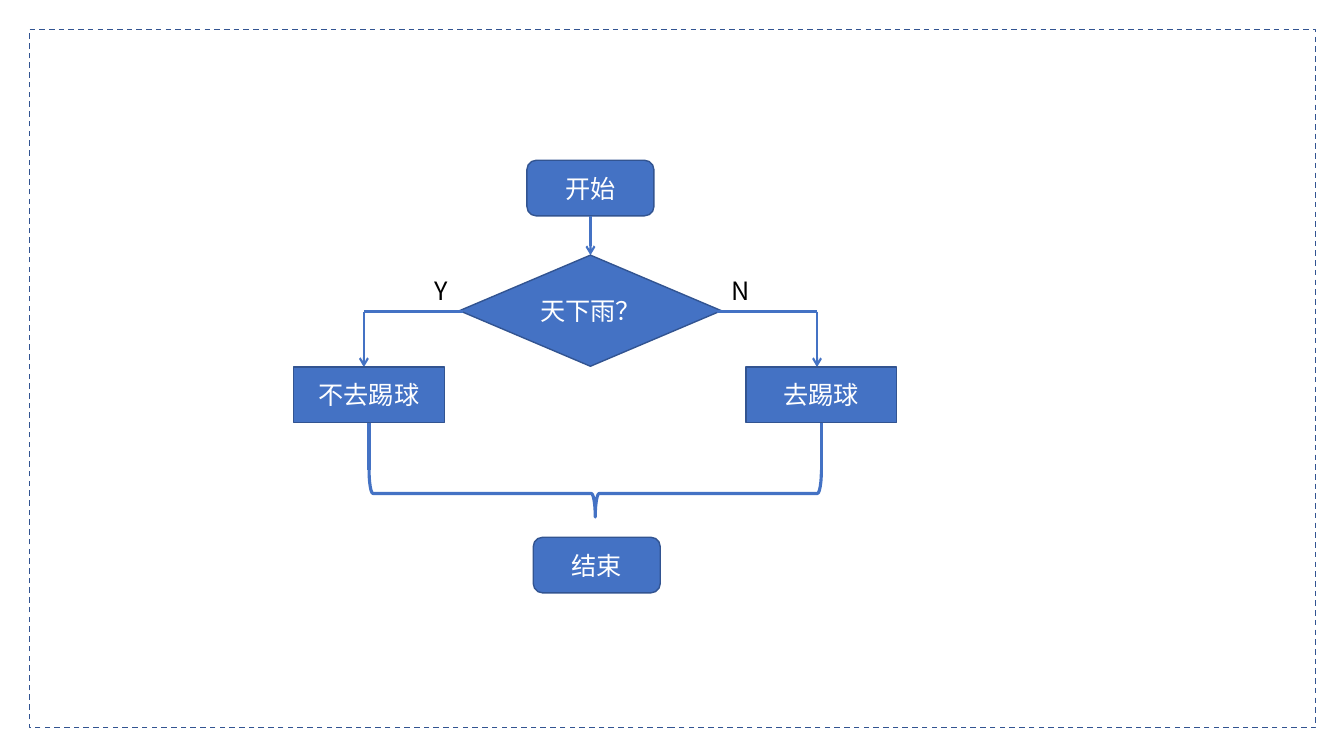
from lxml.etree import SubElement
from pptx import Presentation
from pptx.dml.color import RGBColor
from pptx.enum.dml import MSO_LINE as Dash
from pptx.enum.shapes import MSO_CONNECTOR as Link, MSO_SHAPE as Form
from pptx.enum.text import MSO_ANCHOR as Anchor, MSO_AUTO_SIZE as AutoSize, PP_ALIGN as Align
from pptx.oxml.ns import qn
from pptx.util import Cm, Pt

FONT = "Noto Sans CJK SC"
BLUE, NAVY, WHITE, BLACK = "4472C4", "325491", "FFFFFF", "000000"

CENTER = 14.88                        # axis of start and decision
BRANCH_Y, STEP_Y, STEP_H = 7.85, 9.25, 1.4
BRACE_Y, BRACE_H = 11.84, 1.19


def paint(color_format, color):
    color_format.rgb = RGBColor.from_string(color)


def write(frame, text, color, align):
    frame.text = text
    paragraph = frame.paragraphs[0]
    paragraph.alignment = align
    font = paragraph.font
    font.name, font.size = FONT, Pt(18)
    paint(font.color, color)
    # East Asian typeface
    defaults = paragraph._p.pPr.find(qn("a:defRPr"))
    SubElement(defaults, qn("a:ea"), typeface=FONT)


def add_outline(shapes, form, x, y, w, h, color, width):
    outline = shapes.add_shape(form, Cm(x), Cm(y), Cm(w), Cm(h))
    outline.shadow.inherit = False
    outline.fill.background()
    paint(outline.line.color, color)
    outline.line.width = Pt(width)
    return outline


def add_node(shapes, form, center, y, w, h, text):
    node = add_outline(shapes, form, center - w / 2, y, w, h, NAVY, 1)
    node.fill.solid()
    paint(node.fill.fore_color, BLUE)
    node.text_frame.vertical_anchor = Anchor.MIDDLE
    write(node.text_frame, text, WHITE, Align.CENTER)


def add_line(shapes, x1, y1, x2, y2, arrow=False):
    line = shapes.add_connector(Link.STRAIGHT, Cm(x1), Cm(y1), Cm(x2), Cm(y2))
    paint(line.line.color, BLUE)
    line.line.width = Pt(1.5 if arrow else 2.25)
    if arrow:
        SubElement(line.line._get_or_add_ln(), qn("a:tailEnd"), type="arrow")
    SubElement(line._element.spPr, qn("a:effectLst"))


def add_label(shapes, x, y, text):
    label = shapes.add_textbox(Cm(x), Cm(y), Cm(0.99), Cm(1.02)).text_frame
    label.word_wrap = False
    label.auto_size = AutoSize.SHAPE_TO_FIT_TEXT
    write(label, text, BLACK, Align.LEFT)


def main():
    deck = Presentation()
    deck.slide_width, deck.slide_height = Cm(33.87), Cm(19.05)
    slide = deck.slides.add_slide(deck.slide_layouts[6])

    # Dashed page frame
    border = add_outline(slide.shapes, Form.RECTANGLE, 0.74, 0.74, 32.41, 17.6, NAVY, 1)
    border.line.dash_style = Dash.DASH

    # Start and decision
    flow = slide.shapes.add_group_shape().shapes
    add_node(flow, Form.ROUNDED_RECTANGLE, CENTER, 4.04, 3.2, STEP_H, "开始")
    add_line(flow, CENTER, 5.44, CENTER, 6.43, arrow=True)
    add_node(flow, Form.DIAMOND, CENTER, 6.43, 6.6, 2.8, "天下雨？")

    # Branches: side, step centre, outcome
    for side, step_x, outcome in [(1, 20.7, "去踢球"), (-1, 9.3, "不去踢球")]:
        corner = CENTER + side * 5.71
        add_line(flow, CENTER + side * 3.2, BRANCH_Y, corner, BRANCH_Y)
        add_line(flow, corner, BRANCH_Y, corner, STEP_Y, arrow=True)
        add_node(flow, Form.RECTANGLE, step_x, STEP_Y, 3.8, STEP_H, outcome)
        add_line(flow, step_x, STEP_Y + STEP_H, step_x, BRACE_Y)
    add_label(flow, 10.69, 6.82, "Y")
    add_label(flow, 18.19, 6.82, "N")

    # Brace joins both branches; a quarter turn points it down
    span, middle = 11.4, 15
    brace = add_outline(flow, Form.RIGHT_BRACE, middle - BRACE_H / 2,
                        BRACE_Y + (BRACE_H - span) / 2, BRACE_H, span, BLUE, 2.25)
    brace.rotation = 90

    # End
    add_node(flow, Form.ROUNDED_RECTANGLE, 15.04, 13.54, 3.2, STEP_H, "结束")

    deck.save("out.pptx")


if __name__ == "__main__":
    main()
